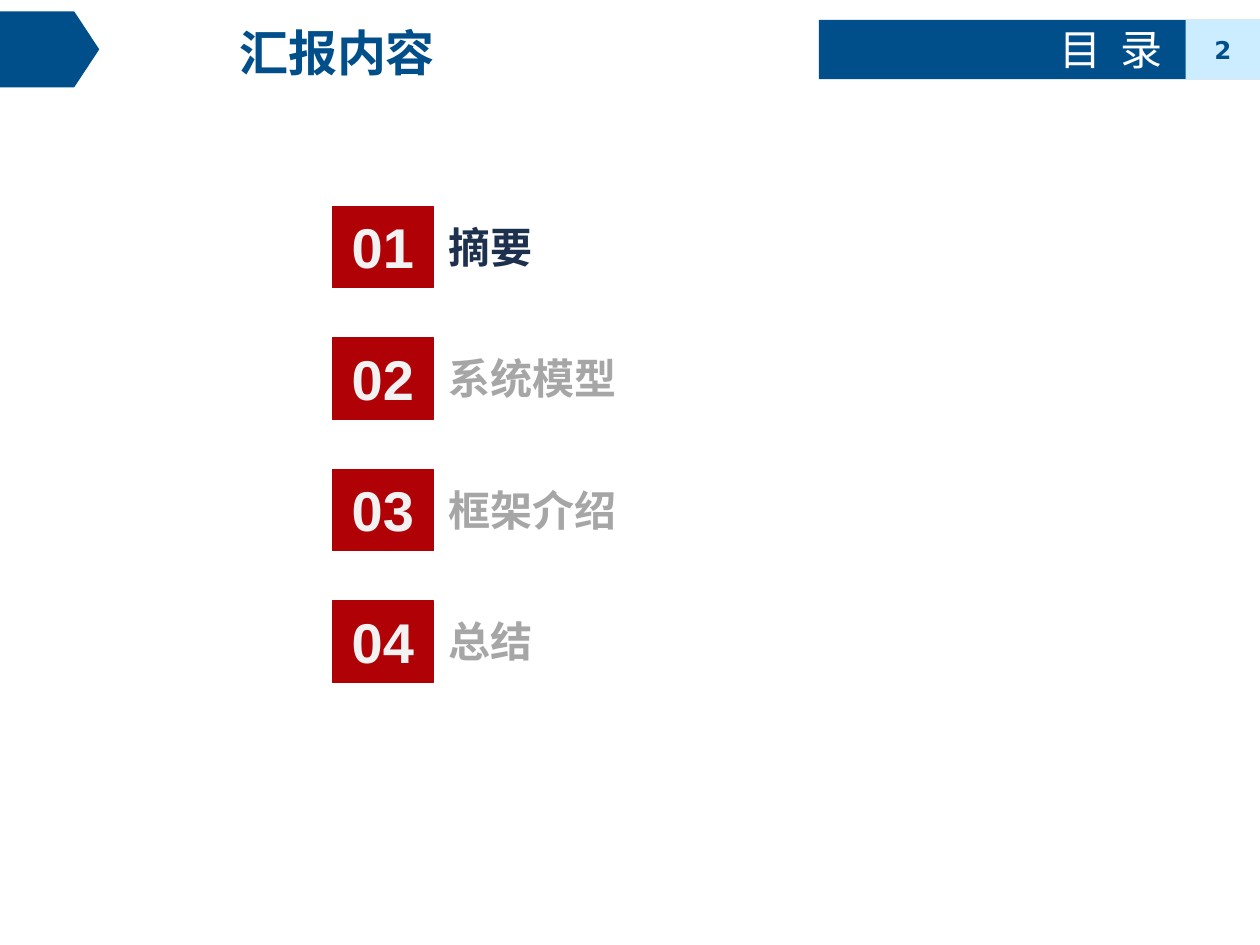
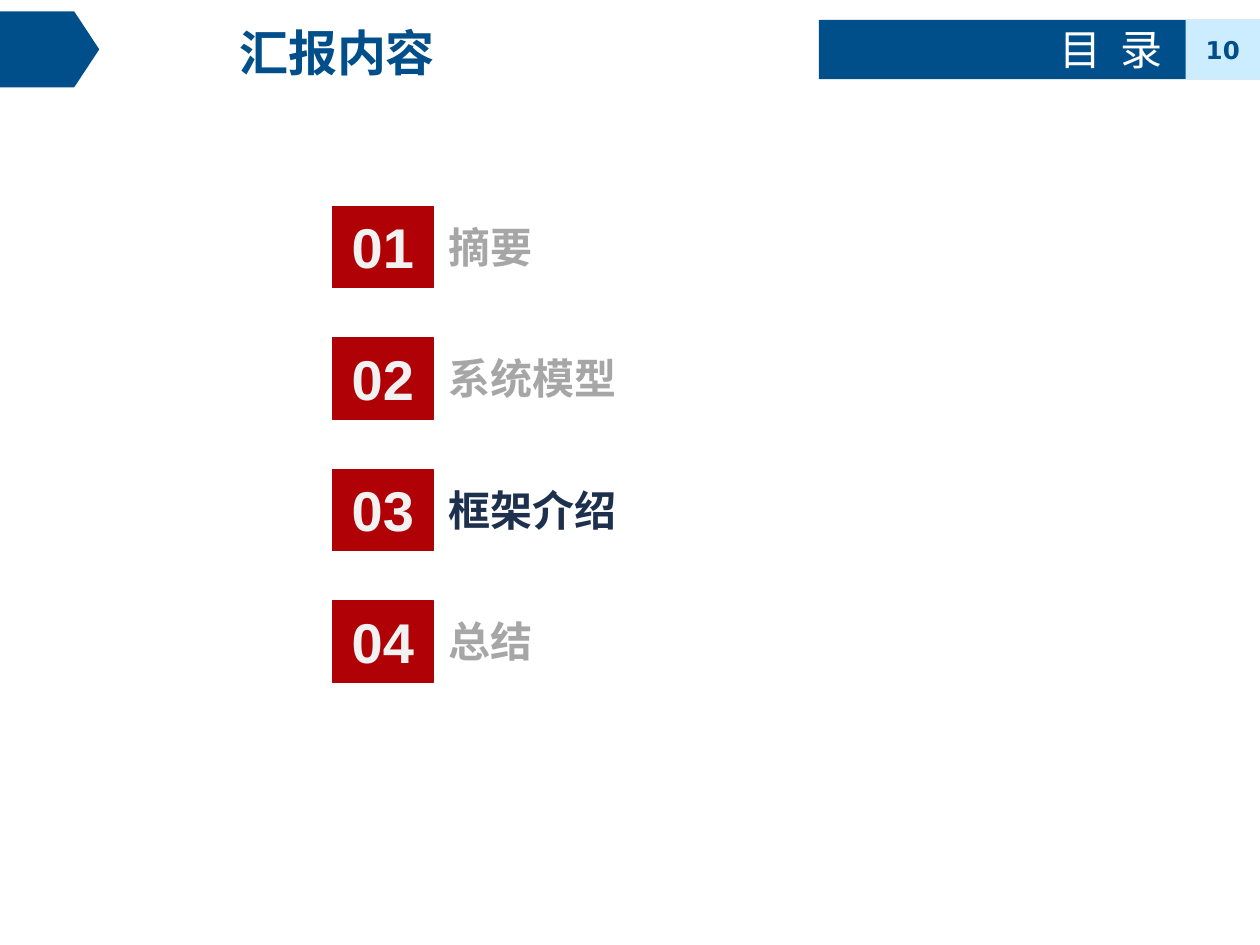
from lxml import etree
from pptx import Presentation
from pptx.dml.color import RGBColor
from pptx.enum.shapes import MSO_SHAPE
from pptx.enum.text import MSO_ANCHOR, MSO_AUTO_SIZE, PP_ALIGN
from pptx.oxml.ns import qn
from pptx.util import Pt

RECTANGLE, PENTAGON = MSO_SHAPE.RECTANGLE, MSO_SHAPE.PENTAGON
LEFT, CENTER = PP_ALIGN.LEFT, PP_ALIGN.CENTER
TOP, MIDDLE = MSO_ANCHOR.TOP, MSO_ANCHOR.MIDDLE
NO_AUTOFIT = MSO_AUTO_SIZE.NONE
TITLE_ONLY = 5

COLOURS = {
    "blue": "004F8A",
    "pale_blue": "CCECFF",
    "white": "FFFFFF",
    "red": "B00106",
    "red_edge": "AB0205",
    "number": "F2F2F2",
    "current": "1D304E",
    "muted": "A6A6A6",
}
CHINESE_FONT = "Noto Sans CJK SC"
NUMBER_FONT = "Arial"
PAGE_FONT = "DejaVu Sans"

# Section name and width of its label
SECTIONS = [("摘要", 333), ("系统模型", 292), ("框架介绍", 434), ("总结", 338)]
# Page number and index of the current section
AGENDA_PAGES = [(2, 0), (10, 2)]


def colour(name):
    return RGBColor.from_string(COLOURS[name])


def write_text(shape, text, *, size, color, font=CHINESE_FONT, bold=True,
               align=LEFT, anchor=TOP, spacing=0):
    """Write one formatted paragraph; spacing is extra points per character."""
    frame = shape.text_frame
    frame.word_wrap = True
    frame.auto_size = NO_AUTOFIT
    frame.vertical_anchor = anchor
    paragraph = frame.paragraphs[0]
    paragraph.alignment = align
    run = paragraph.add_run()
    run.text = text
    run.font.size = Pt(size)
    run.font.bold = bold
    run.font.color.rgb = colour(color)
    run.font.name = font
    properties = run._r.get_or_add_rPr()
    etree.SubElement(properties, qn("a:ea")).set("typeface", font)
    if spacing:
        properties.set("spc", str(round(spacing * 100)))


def add_block(shapes, kind, box, fill, line=None):
    shape = shapes.add_shape(kind, *map(Pt, box))
    shape.shadow.inherit = False
    shape.fill.solid()
    shape.fill.fore_color.rgb = colour(fill)
    if line:
        shape.line.color.rgb = colour(line)
        shape.line.width = Pt(0.75)
    else:
        shape.line.fill.background()
    return shape


def add_label(shapes, box, text, **text_format):
    write_text(shapes.add_textbox(*map(Pt, box)), text, **text_format)


def add_title(slide, box, text):
    title = slide.shapes.title
    title.left, title.top, title.width, title.height = map(Pt, box)
    write_text(title, text, size=28, color="blue", align=CENTER)


def add_header_band(slide, box, text, page_number):
    left, top, width, height = box
    page_width = 42.5
    page_left = left + width - page_width
    add_block(slide.shapes, RECTANGLE, box, "blue")
    page_box = (page_left, top, page_width, height)
    page = add_block(slide.shapes, RECTANGLE, page_box, "pale_blue")
    write_text(page, str(page_number), size=14, color="blue", font=PAGE_FONT,
               align=CENTER, anchor=MIDDLE)
    add_label(slide.shapes, (page_left - 79.2, top - 1.4, 77.8, 36), text,
              size=24, color="white", bold=False, spacing=2.7)


def add_title_marker(slide, box):
    marker = add_block(slide.shapes, PENTAGON, box, "blue", line="blue")
    marker.adjustments[0] = 0.33


def add_agenda(slide, left, top, current):
    """Stack the numbered sections and darken the current one."""
    row_pitch, badge_width, badge_height = 75.15, 57.6, 46.4
    for index, (name, label_width) in enumerate(SECTIONS):
        row_top = top + index * row_pitch
        row = slide.shapes.add_group_shape().shapes
        badge = add_block(row, RECTANGLE, (left, row_top, badge_width, badge_height),
                          "red", line="red_edge")
        write_text(badge, f"{index + 1:02d}", size=32, color="number",
                   font=NUMBER_FONT, align=CENTER)
        label_box = (left + badge_width + 1.5, row_top + 5, label_width, 36)
        add_label(row, label_box, name, size=24,
                  color="current" if index == current else "muted")


def add_agenda_slide(presentation, page_number, current):
    slide = presentation.slides.add_slide(presentation.slide_layouts[TITLE_ONLY])
    add_header_band(slide, (468, 11.3, 252, 34), "目 录", page_number)
    add_title_marker(slide, (0, 6.9, 56.3, 42.7))
    add_title(slide, (93.6, 9.4, 198, 41), "汇报内容")
    add_agenda(slide, 190, 118, current)


def main():
    presentation = Presentation()
    presentation.slide_width = Pt(720)
    presentation.slide_height = Pt(540)
    for page_number, current in AGENDA_PAGES:
        add_agenda_slide(presentation, page_number, current)
    presentation.save("out.pptx")


if __name__ == "__main__":
    main()
